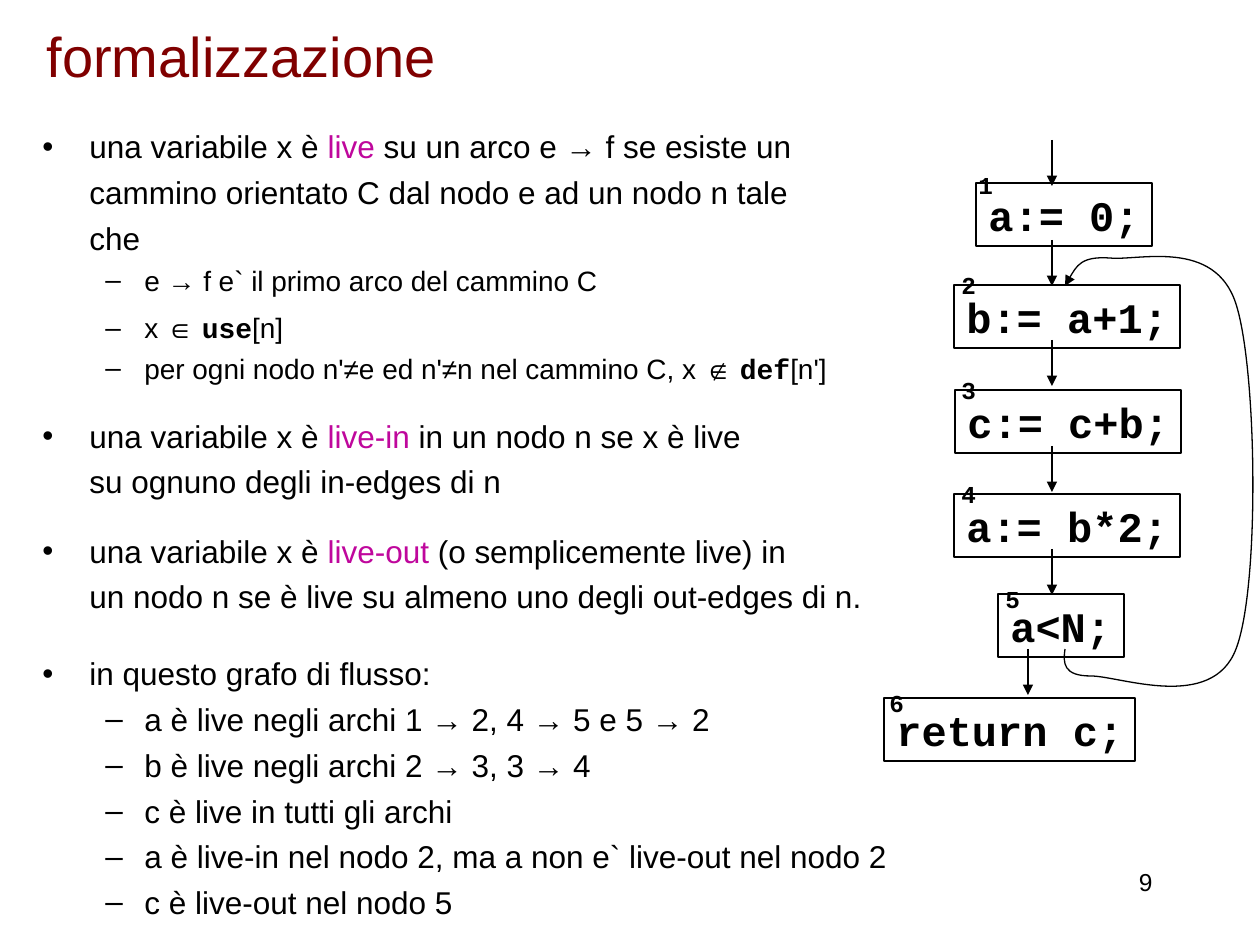
"""Build the slide on live variables with its control-flow graph."""
from lxml import etree
from pptx import Presentation
from pptx.dml.color import RGBColor
from pptx.enum.shapes import MSO_CONNECTOR, MSO_SHAPE
from pptx.enum.text import MSO_ANCHOR, PP_ALIGN
from pptx.oxml.ns import qn
from pptx.util import Emu, Pt

LEFT, RIGHT = PP_ALIGN.LEFT, PP_ALIGN.RIGHT
TOP, MIDDLE = MSO_ANCHOR.TOP, MSO_ANCHOR.MIDDLE
RECT, STRAIGHT = MSO_SHAPE.RECTANGLE, MSO_CONNECTOR.STRAIGHT
BLACK, MAROON, MAGENTA = "000000", "800000", "BF079C"
SCALE = 914400 / 126


def px(*values):
    return [Emu(round(v * SCALE)) for v in values]


def write(p, text, size, color=BLACK, name="Arial", bold=False):
    r = p.add_run()
    r.text = text
    for key, value in {"size": Pt(size), "name": name, "bold": bold}.items():
        setattr(r.font, key, value)
    r.font.color.rgb = RGBColor.from_string(color)
    return r


prs = Presentation()
prs.slide_width, prs.slide_height = px(1260, 945)
s = prs.slides.add_slide(prs.slide_layouts[5])

title = s.shapes.title
title.left, title.top, title.width, title.height = px(34, 21, 1071, 68)
title.text_frame.vertical_anchor = MIDDLE
p = title.text_frame.paragraphs[0]
p.alignment = LEFT
write(p, "formalizzazione", 32, MAROON)

live, code = {"color": MAGENTA}, {"name": "Courier New", "bold": True}
layout = {"•": (47, -47), "": (47, 0), "–": (102, -39)}
body = [
    ("•", 18, 0, 0, [("una variabile x è ", {}), ("live", live), (" su un arco e → f se esiste un", {})]),
    ("", 18, 4.5, 0, [("cammino orientato C dal nodo e ad un nodo n tale", {})]),
    ("", 18, 4.5, 0, [("che", {})]),
    ("–", 16, 4, 4, [("e → f e` il primo arco del cammino C", {})]),
    ("–", 16, 4, 0, [("x ∈ ", {}), ("use", code), ("[n]", {})]),
    ("–", 16, 4, 0, [("per ogni nodo n'≠e ed n'≠n nel cammino C, x ∉ ", {}), ("def", code), ("[n']", {})]),
    ("•", 18, 18, 0, [("una variabile x è ", {}), ("live-in", live), (" in un nodo n se x è live", {})]),
    ("", 18, 4.5, 0, [("su ognuno degli in-edges di n", {})]),
    ("•", 18, 18, 0, [("una variabile x è ", {}), ("live-out", live), (" (o semplicemente live) in", {})]),
    ("", 18, 4.5, 18, [("un nodo n se è live su almeno uno degli out-edges di n.", {})]),
    ("•", 18, 4.5, 0, [("in questo grafo di flusso:", {})]),
    ("–", 18, 4.5, 0, [("a è live negli archi 1 → 2, 4 → 5 e 5 → 2", {})]),
    ("–", 18, 4.5, 0, [("b è live negli archi 2 → 3, 3 → 4", {})]),
    ("–", 18, 4.5, 0, [("c è live in tutti gli archi", {})]),
    ("–", 18, 4.5, 0, [("a è live-in nel nodo 2, ma a non e` live-out nel nodo 2", {})]),
    ("–", 18, 4.5, 0, [("c è live-out nel nodo 5", {})]),
]
tf = s.shapes.add_textbox(*px(30, 121, 902, 824)).text_frame
tf.word_wrap = True
for i, (bullet, size, before, after, runs) in enumerate(body):
    p = tf.add_paragraph() if i else tf.paragraphs[0]
    p.level = int(bullet == "–")
    p.space_before, p.space_after = Pt(before), Pt(after)
    pPr = p._p.get_or_add_pPr()
    for key, value in zip(("marL", "indent"), px(*layout[bullet])):
        pPr.set(key, str(value))
    if bullet:
        etree.SubElement(pPr, qn("a:buFont"), typeface="Arial")
        etree.SubElement(pPr, qn("a:buChar"), char=bullet)
    for text, style in runs:
        write(p, text, size, **style)

nodes = [
    ("a:= 0;", 976, 183, 966, 159),
    ("b:= a+1;", 954, 285, 949, 259),
    ("c:= c+b;", 955, 390, 949, 364),
    ("a:= b*2;", 954, 494, 949, 468),
    ("a<N;", 998, 594, 993, 573),
    ("return c;", 884, 698, 877, 677),
]
outlines = []
for number, (text, x, y, label_x, label_y) in enumerate(nodes, 1):
    width = 25 * len(text) + 26
    sp = s.shapes.add_shape(RECT, *px(x, y, width, 63))
    outlines.append(sp)
    label = s.shapes.add_textbox(*px(label_x, label_y, 39, 63))
    for shape, words in ((sp, text), (label, str(number))):
        tf = shape.text_frame
        tf.word_wrap, tf.vertical_anchor = False, TOP
        p = tf.paragraphs[0]
        p.alignment = LEFT
        r = write(p, words, 24, **code)
    r._r.get_or_add_rPr().set("baseline", "30000")

arrows = []
for x, y in ((1052, 140), (1052, 240), (1052, 340), (1052, 446), (1052, 549), (1028, 649)):
    arrows.append(s.shapes.add_connector(STRAIGHT, *px(x, y, x, y + 46)))

loop = [(1063, 663), (1063, 676), (1091, 676), (1120, 676), (1212, 712), (1236, 649),
        (1260, 587), (1257, 369), (1236, 304), (1215, 238), (1138, 261), (1110, 258),
        (1081, 256), (1073, 271), (1065, 286)]
fb = s.shapes.build_freeform(1065, 649, scale=SCALE)
fb.add_line_segments(loop, close=False)
back_edge = fb.convert_to_shape()
lines = list(back_edge._element.iter(qn("a:lnTo")))
for start in range(0, len(lines), 3):
    curve = etree.Element(qn("a:cubicBezTo"))
    lines[start].addprevious(curve)
    for line in lines[start:start + 3]:
        curve.append(line[0])
        line.getparent().remove(line)

for sp in outlines + [back_edge]:
    sp.shadow.inherit = False
    sp.fill.background()
for sp in arrows:
    etree.SubElement(sp._element.spPr, qn("a:effectLst"))
for sp in outlines + arrows + [back_edge]:
    sp.line.color.rgb = RGBColor.from_string(BLACK)
    sp.line.width = Pt(0.75)
for sp in arrows + [back_edge]:
    etree.SubElement(sp.line._get_or_add_ln(), qn("a:tailEnd"), type="triangle")

tf = s.shapes.add_textbox(*px(903, 861, 262, 63)).text_frame
tf.word_wrap = True
p = tf.paragraphs[0]
p.alignment = RIGHT
write(p, "9", 14)

prs.save("out.pptx")
